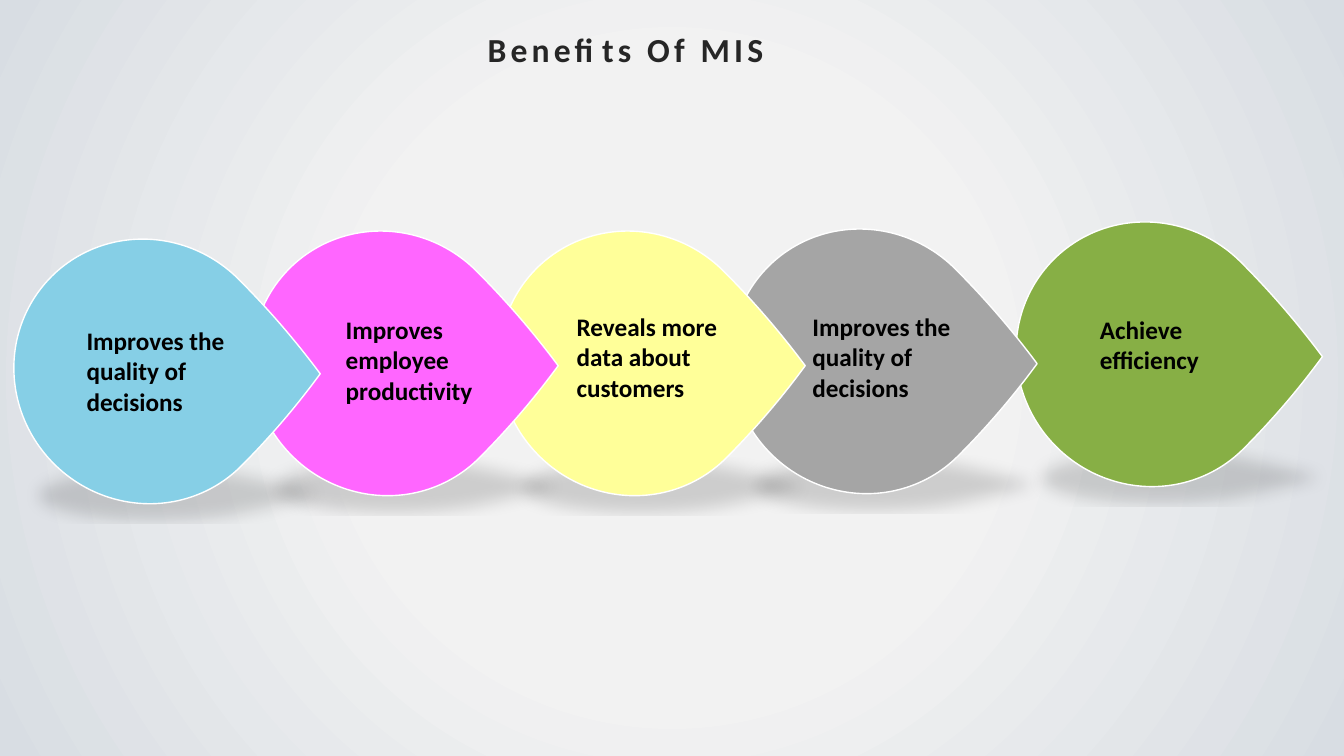
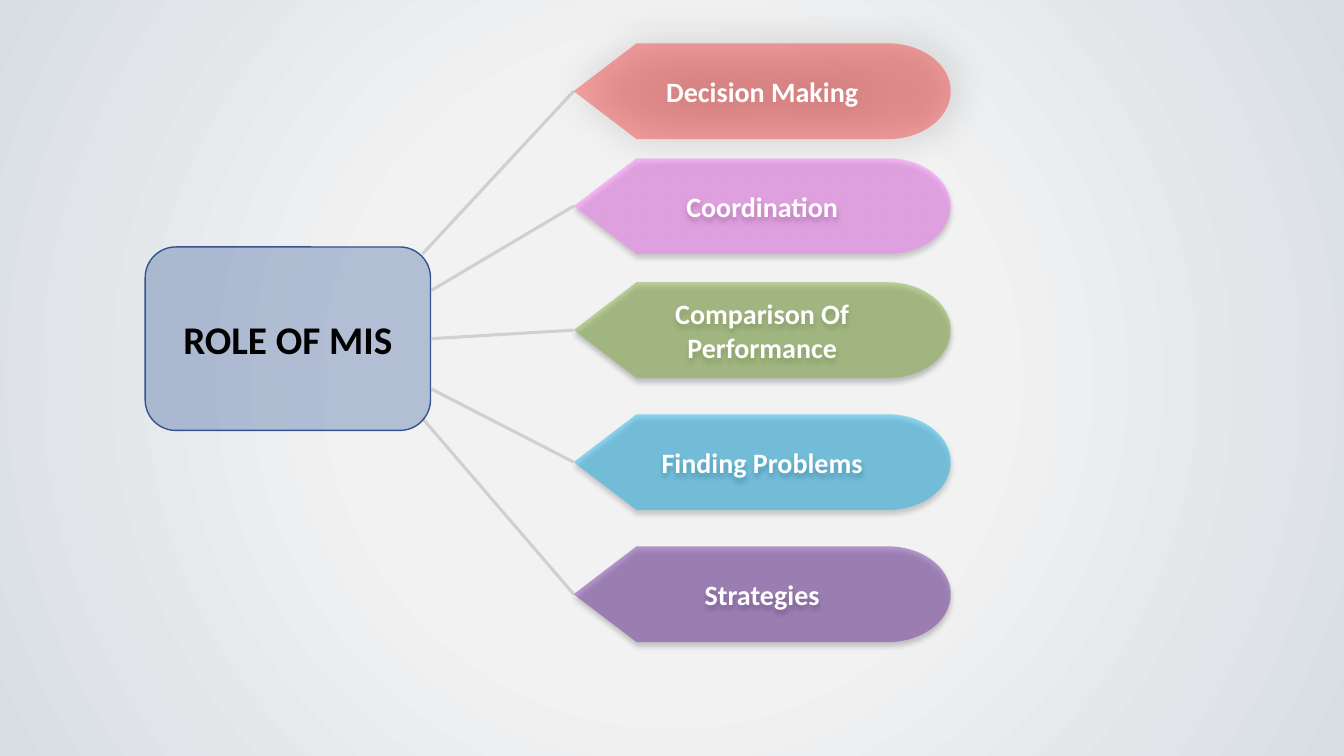
"""Build two slides on the benefits and the role of MIS."""
import pptx
import pptx.dml.color
import pptx.enum.dml
import pptx.enum.shapes
import pptx.enum.text
import pptx.oxml.ns
import pptx.util
from lxml import etree

Inches = pptx.util.Inches
Pt = pptx.util.Pt
RGBColor = pptx.dml.color.RGBColor
SHAPE = pptx.enum.shapes.MSO_SHAPE
ALIGN = pptx.enum.text.PP_ALIGN
ANCHOR = pptx.enum.text.MSO_ANCHOR
qn = pptx.oxml.ns.qn

FONT = "Calibri"
BLACK = RGBColor(0x00, 0x00, 0x00)
WHITE = RGBColor(0xFF, 0xFF, 0xFF)
DARK = RGBColor(0x26, 0x26, 0x26)
GREEN = RGBColor(0x87, 0xAF, 0x45)
GRAY = RGBColor(0xA5, 0xA5, 0xA5)
YELLOW = RGBColor(0xFF, 0xFF, 0x99)
PINK = RGBColor(0xFF, 0x66, 0xFF)
SKY = RGBColor(0x86, 0xCF, 0xE6)
RED = RGBColor(0xFF, 0x00, 0x00)
BLUE = RGBColor(0x00, 0xB0, 0xF0)
PURPLE = RGBColor(0x70, 0x30, 0xA0)
NAVY = RGBColor(0x2F, 0x55, 0x97)
EDGE = RGBColor(0x32, 0x54, 0x91)
LINK = RGBColor(0x40, 0x40, 0x40)
PALE = RGBColor(0xF2, 0xF2, 0xF2)
MIST = RGBColor(0xD8, 0xDD, 0xE3)

DROPS = [
    (0.12, 2.39, SKY, "Improves the quality of decisions", 0.76, 3.18),
    (2.48, 2.31, PINK, "Improves employee productivity", 3.33, 3.07),
    (4.93, 2.31, YELLOW, "Reveals more data about customers", 5.62, 3.04),
    (7.23, 2.29, GRAY, "Improves the quality of decisions", 7.96, 3.04),
    (10.06, 2.22, GREEN, "Achieve efficiency", 10.81, 3.07),
]
SOFT = (43, 4, 3, 90)
GLOW = (43, 29, 3, 359)
FLOOR = (15, 12, 25, 90)
PILLS = [
    (0.43, RED, 33, GLOW, "Decision Making", 4.19, 2.52),
    (1.57, PINK, 40, SOFT, "Coordination", 4.28, 2.88),
    (2.8, GREEN, 50, SOFT, "Comparison Of Performance", 4.28, 3.36),
    (4.11, BLUE, 42, SOFT, "Finding Problems", 4.28, 3.86),
    (5.42, PURPLE, 46, SOFT, "Strategies", 4.19, 4.15),
]
PILL_X, PILL_W, PILL_H = 5.69, 3.74, 0.95


def add_node(top, tag, **attrs):
    return etree.SubElement(top, qn(tag), attrs)


def paint_back(deck):
    fill = deck.slide_master.background.fill
    fill.gradient()
    grad = deck.slide_master._element.find(".//" + qn("a:gradFill"))
    for part in list(grad):
        grad.remove(part)
    stops = add_node(grad, "a:gsLst")
    for pos, hue in ((41, PALE), (100, MIST)):
        stop = add_node(stops, "a:gs", pos=str(pos * 1000))
        add_node(stop, "a:srgbClr", val=str(hue))
    ring = add_node(grad, "a:path", path="circle")
    add_node(ring, "a:fillToRect", l="50000", t="50000", r="50000", b="50000")


def fade(shape, share):
    hue = shape._element.spPr.find(".//" + qn("a:srgbClr"))
    add_node(hue, "a:alpha", val=str(share * 1000))


def cast(shape, shade, **scale):
    share, blur, gap, turn = shade
    top = shape._element.spPr.find(qn("a:effectLst"))
    drop = add_node(top, "a:outerShdw", blurRad=str(Pt(blur)), dist=str(Pt(gap)),
                    dir=str(turn * 60000), **scale, rotWithShape="0")
    hue = add_node(drop, "a:srgbClr", val=str(BLACK))
    add_node(hue, "a:alpha", val=str(share * 1000))


def write(shape, text, size, hue, align=ALIGN.CENTER):
    frame = shape.text_frame
    frame.word_wrap = True
    para = frame.paragraphs[0]
    para.text = text
    para.alignment = align
    font = para.font
    font.name, font.size, font.bold = FONT, Pt(size), True
    font.color.rgb = hue
    return para


def add_box(slide, x, y, w, h):
    return slide.shapes.add_textbox(Inches(x), Inches(y), Inches(w), Inches(h))


def add_form(slide, kind, x, y, w, h, fill, line=None):
    shape = slide.shapes.add_shape(kind, Inches(x), Inches(y), Inches(w), Inches(h))
    shape.shadow.inherit = False
    shape.fill.solid()
    shape.fill.fore_color.rgb = fill
    if line is None:
        shape.line.fill.background()
    else:
        shape.line.color.rgb = line
        shape.line.width = Pt(1)
    shape.text_frame.vertical_anchor = ANCHOR.MIDDLE
    return shape


def add_drop(slide, x, y, fill):
    drop = add_form(slide, SHAPE.TEAR, x, y, 2.66, 2.59, fill, WHITE)
    drop.adjustments[0] = 0.93
    drop.rotation = 45
    cast(drop, FLOOR, sx="90000", sy="-19000")


def add_pill(slide, y, fill, share, shade, text):
    pill = add_form(slide, SHAPE.FLOWCHART_DISPLAY, PILL_X, y, PILL_W, PILL_H, fill)
    fade(pill, share)
    cast(pill, shade)
    write(pill, text, 20, WHITE)


def add_link(slide, x1, y1, x2, y2):
    link = slide.shapes.add_connector(
        pptx.enum.shapes.MSO_CONNECTOR.STRAIGHT,
        Inches(x1), Inches(y1), Inches(x2), Inches(y2))
    link.line.color.rgb = LINK
    link.line.width = Pt(2.25)
    fade(link, 18)
    add_node(link._element.spPr, "a:effectLst")


def draw_gains(slide):
    for x, y, fill, *_ in reversed(DROPS):
        add_drop(slide, x, y, fill)
    for *_, text, x, y in DROPS:
        write(add_box(slide, x, y, 1.95, 1.01), text, 18, BLACK, ALIGN.LEFT)
    title = write(add_box(slide, 2.37, 0.24, 7.67, 0.5), "Benefits Of MIS", 24, DARK)
    title.runs[0].font._element.set("spc", "300")


def draw_role(slide):
    for y, fill, share, shade, text, *_ in PILLS:
        add_pill(slide, y, fill, share, shade, text)
    hub = add_form(slide, SHAPE.ROUNDED_RECTANGLE, 1.44, 2.45, 2.83, 1.82, NAVY, EDGE)
    fade(hub, 33)
    write(hub, "ROLE OF MIS", 28, BLACK)
    for y, *_, end_x, end_y in PILLS:
        add_link(slide, PILL_X, y + PILL_H / 2, end_x, end_y)


def main():
    deck = pptx.Presentation()
    deck.slide_width, deck.slide_height = Inches(13.33), Inches(7.5)
    paint_back(deck)
    for draw in (draw_gains, draw_role):
        draw(deck.slides.add_slide(deck.slide_layouts[6]))
    deck.save("out.pptx")


if __name__ == "__main__":
    main()
